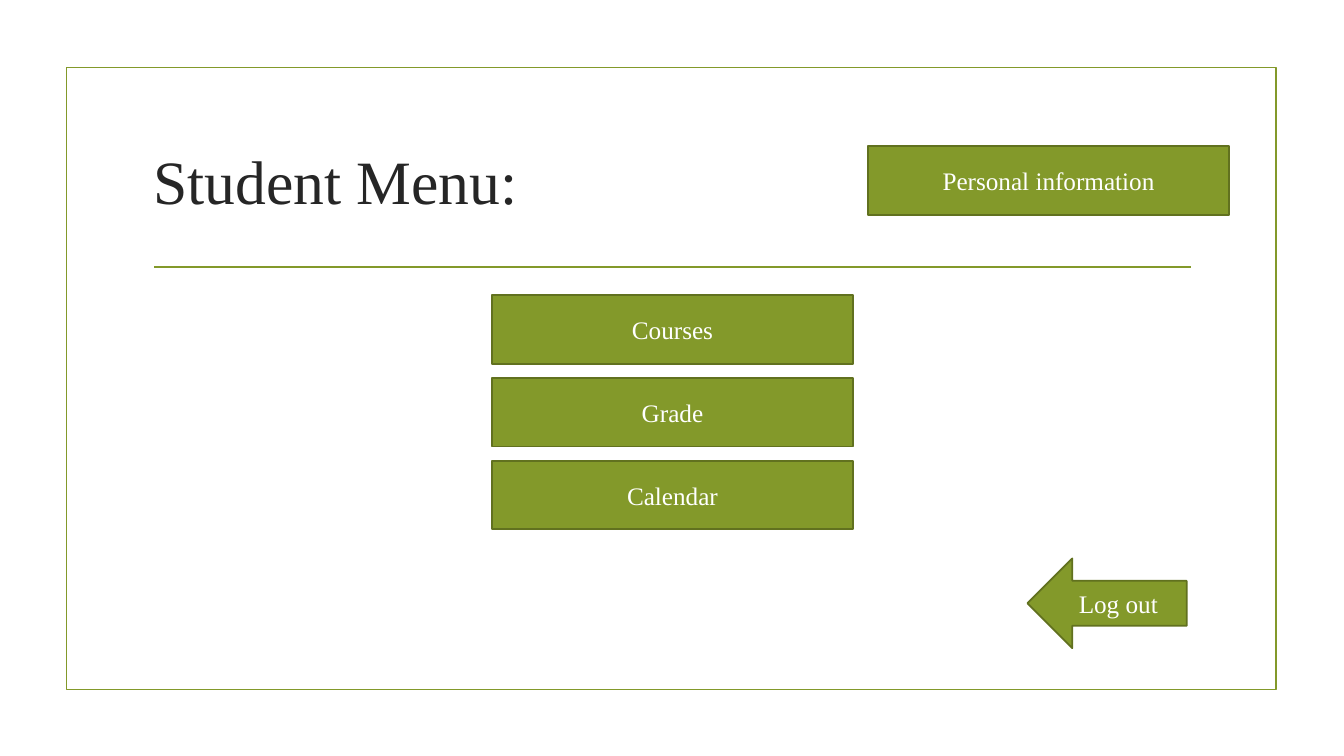
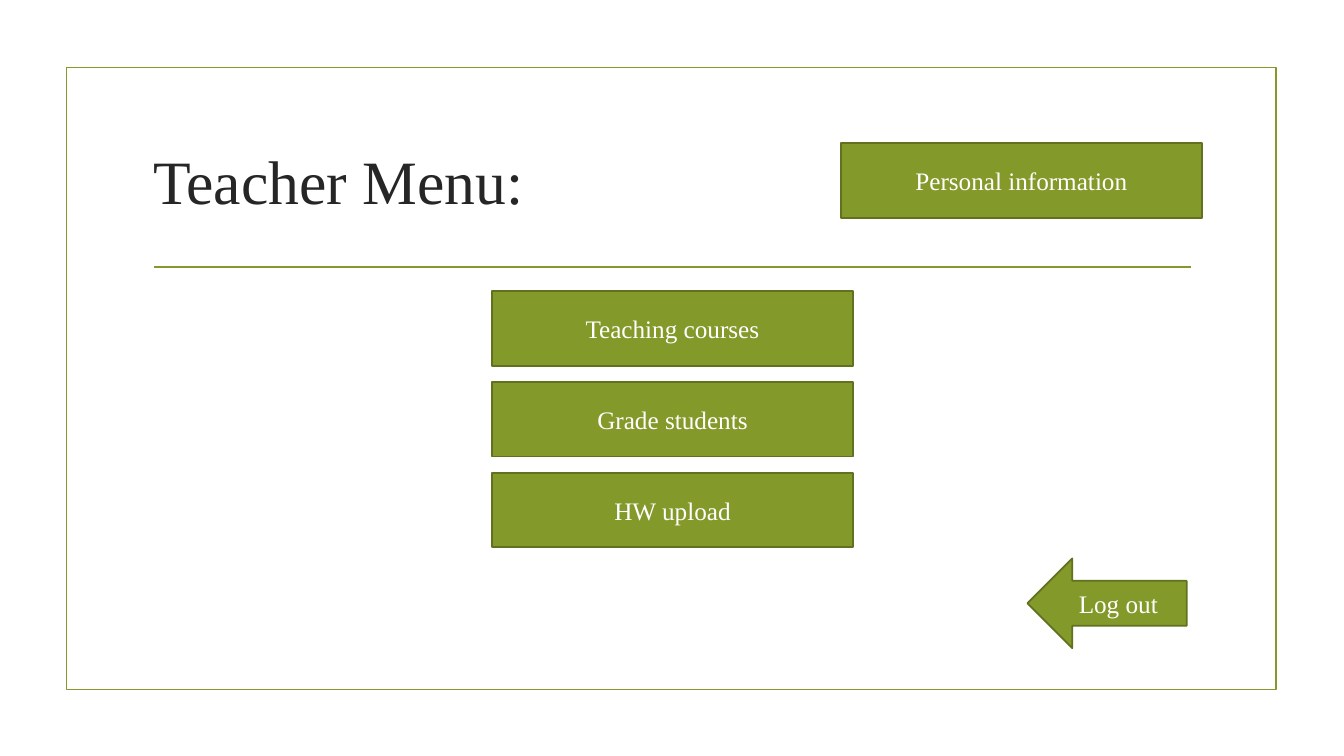
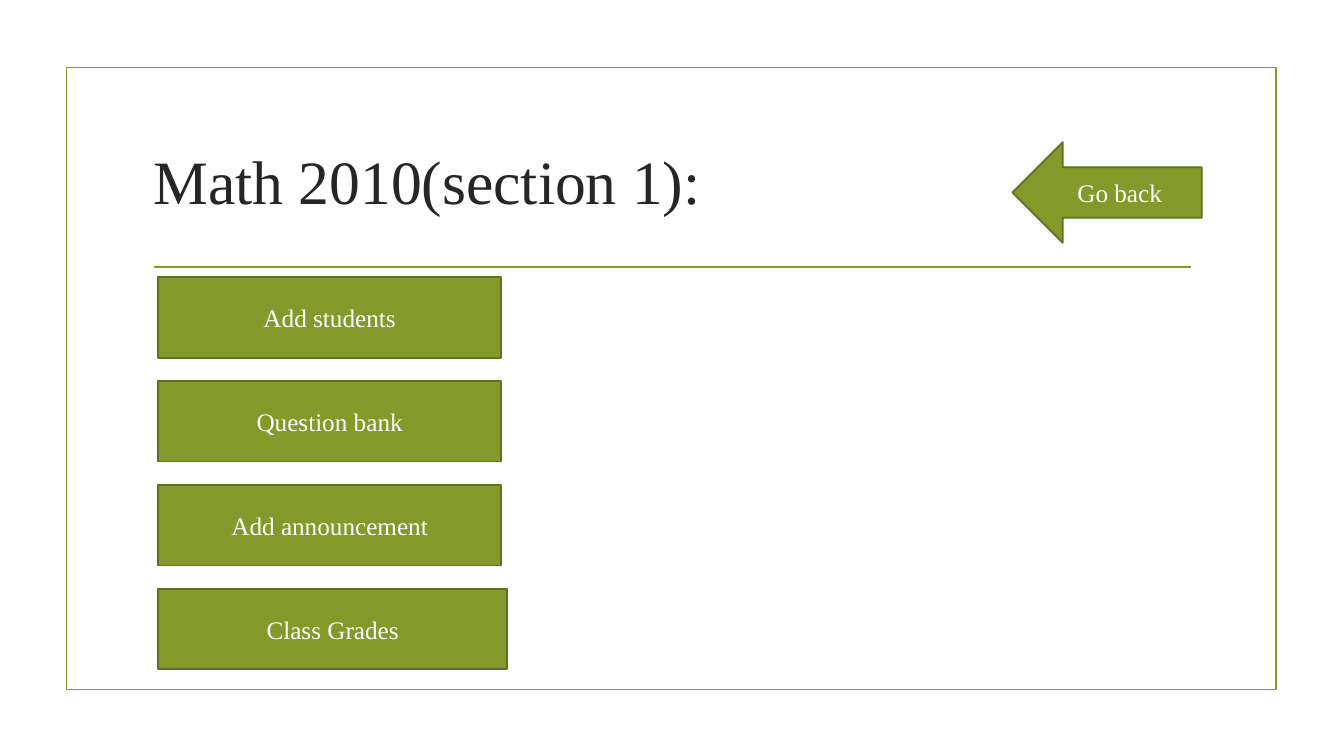
"""Builds three menu screens of a school portal."""
import pptx
import pptx.dml.color
import pptx.enum.shapes
import pptx.enum.text
import pptx.util
import lxml.etree

Inches, Pt = pptx.util.Inches, pptx.util.Pt
SHAPES = pptx.enum.shapes.MSO_SHAPE
ALIGN = pptx.enum.text.PP_ALIGN
MIDDLE = pptx.enum.text.MSO_ANCHOR.MIDDLE
FONT = "Times New Roman"
GREEN, DARK_GREEN, INK, WHITE = "83992A", "61711F", "262626", "FFFFFF"
RULE_WIDTH = 1.25
LOG_OUT = ("Log out", SHAPES.LEFT_ARROW, (10.19, 5.54, 1.58, 0.89))

SCREENS = [
    {
        "title": "Student Menu:",
        "menu": [("Courses", 3.58), ("Grade", 3.58), ("Calendar", 3.58)],
        "start": (4.88, 2.93), "height": 0.68, "pitch": 0.82,
        "corners": [("Personal information", SHAPES.RECTANGLE, (8.61, 1.45, 3.58, 0.68)), LOG_OUT],
    },
    {
        "title": "Teacher Menu:",
        "menu": [("Teaching courses", 3.58), ("Grade students", 3.58), ("HW upload", 3.58)],
        "start": (4.88, 2.89), "height": 0.74, "pitch": 0.9,
        "corners": [("Personal information", SHAPES.RECTANGLE, (8.34, 1.42, 3.58, 0.74)), LOG_OUT],
    },
    {
        "title": "Math 2010(section 1):",
        "menu": [("Add students", 3.4), ("Question bank", 3.4), ("Add announcement", 3.4), ("Class Grades", 3.46)],
        "start": (1.57, 2.75), "height": 0.8, "pitch": 1.03,
        "corners": [("Go back", SHAPES.LEFT_ARROW, (10.04, 1.41, 1.88, 1))],
    },
]


def color(code):
    return pptx.dml.color.RGBColor.from_string(code)


def outline(item, code):
    item.line.color.rgb = color(code)
    item.line.width = Pt(RULE_WIDTH)


def write(frame, text, size, code, align):
    frame.text = text
    frame.word_wrap = True
    frame.vertical_anchor = MIDDLE
    paragraph = frame.paragraphs[0]
    paragraph.alignment = align
    paragraph.font.name = FONT
    paragraph.font.size = Pt(size)
    paragraph.font.color.rgb = color(code)


def add_button(slide, text, kind, box):
    button = slide.shapes.add_shape(kind, *map(Inches, box))
    button.shadow.inherit = False
    button.fill.solid()
    button.fill.fore_color.rgb = color(GREEN)
    outline(button, DARK_GREEN)
    write(button.text_frame, text, 18, WHITE, ALIGN.CENTER)


def decorate_layout(layout, slide):
    """Draws the border and title rule, then moves them into the shared layout."""
    border = slide.shapes.add_shape(SHAPES.RECTANGLE, *map(Inches, (0.66, 0.67, 12, 6.17)))
    border.shadow.inherit = False
    border.fill.background()
    rule = slide.shapes.add_connector(
        pptx.enum.shapes.MSO_CONNECTOR.STRAIGHT, *map(Inches, (1.53, 2.65, 11.81, 2.65)))
    for item in (border, rule):
        outline(item, GREEN)
        layout.shapes.element.append(item.element)
    lxml.etree.SubElement(rule.element.spPr, pptx.oxml.ns.qn("a:effectLst"))
    title = layout.placeholders[0]
    title.left, title.top, title.width, title.height = map(Inches, (1.42, 1.07, 10.5, 1.43))


def add_screen(slide, screen):
    write(slide.shapes.title.text_frame, screen["title"], 44, INK, ALIGN.LEFT)
    left, top = screen["start"]
    for row, (label, width) in enumerate(screen["menu"]):
        box = (left, top + row * screen["pitch"], width, screen["height"])
        add_button(slide, label, SHAPES.RECTANGLE, box)
    for corner in screen["corners"]:
        add_button(slide, *corner)


def main():
    deck = pptx.Presentation()
    deck.slide_width, deck.slide_height = Inches(13.33), Inches(7.5)
    layout = deck.slide_layouts.get_by_name("Title Only")
    slides = [deck.slides.add_slide(layout) for screen in SCREENS]
    decorate_layout(layout, slides[0])
    for slide, screen in zip(slides, SCREENS):
        add_screen(slide, screen)
    deck.save("out.pptx")


if __name__ == "__main__":
    main()
